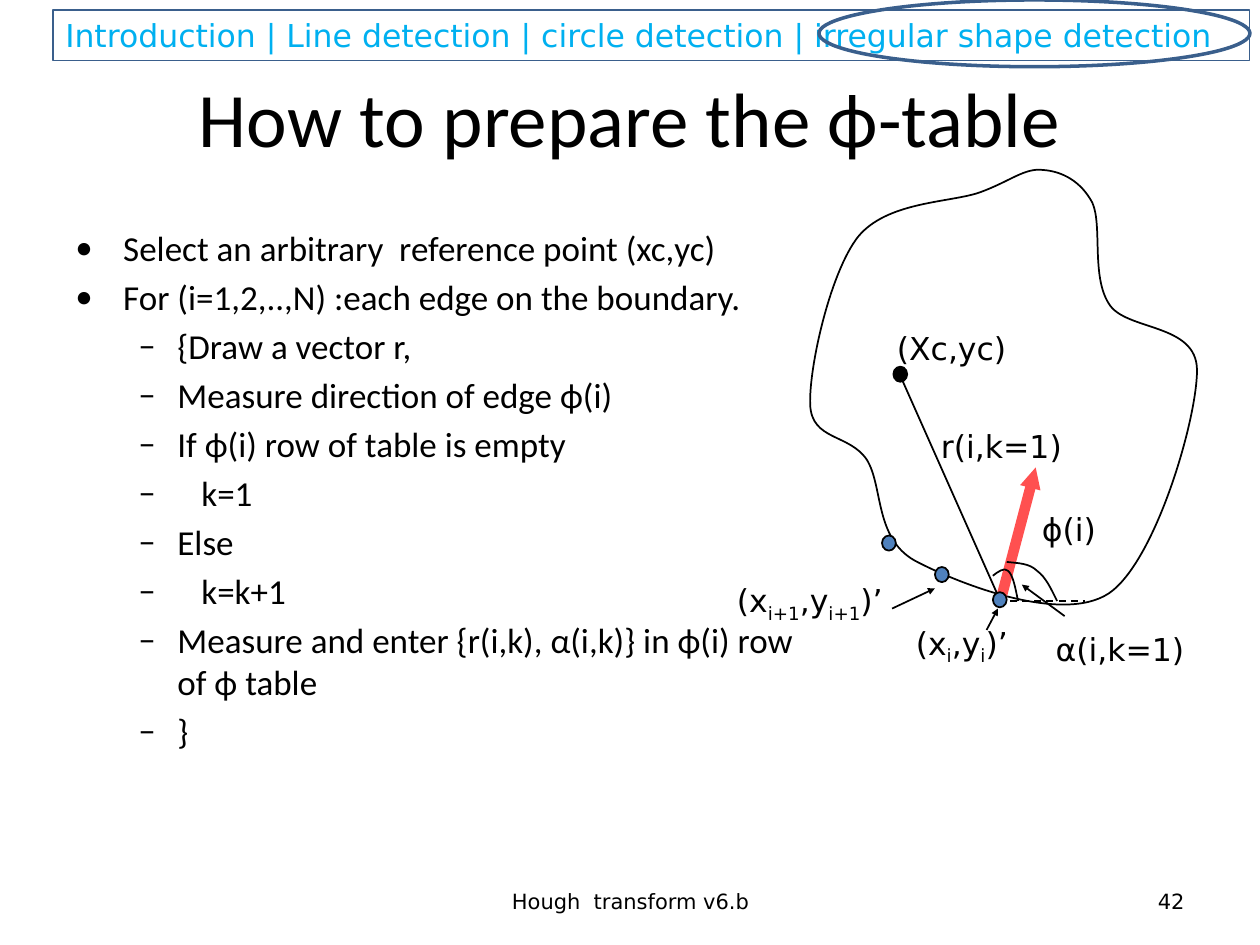
from lxml import etree
from pptx import Presentation
from pptx import util as u
from pptx.dml.color import RGBColor
from pptx.enum import dml, shapes, text
from pptx.oxml.ns import qn

SANS, BODY = "DejaVu Sans", "Calibri"
BLACK, BLUE, NAVY, RED, SKY = "000000", "4F81BD", "3A5F8C", "FF5050", "00B0F0"
LEFT, MID, RIGHT = text.PP_ALIGN.LEFT, text.PP_ALIGN.CENTER, text.PP_ALIGN.RIGHT
OVAL = shapes.MSO_SHAPE.OVAL

# Each outline is a start point followed by three points for every curve.
BLOB = [(7.77, 1.53),
        (7.53, 1.61), (7.04, 1.6), (6.81, 1.88),
        (6.59, 2.16), (6.42, 2.91), (6.43, 3.21),
        (6.44, 3.5), (6.74, 3.44), (6.88, 3.65),
        (7.01, 3.86), (6.94, 4.27), (7.26, 4.45),
        (7.58, 4.62), (8.42, 4.96), (8.8, 4.71),
        (9.17, 4.46), (9.5, 3.33), (9.5, 2.94),
        (9.5, 2.56), (8.93, 2.63), (8.8, 2.41),
        (8.66, 2.19), (8.75, 1.79), (8.67, 1.61),
        (8.58, 1.44), (8.43, 1.36), (8.28, 1.35),
        (8.13, 1.33), (8.02, 1.44), (7.77, 1.53)]
ALPHA = [(7.88, 4.57), (7.92, 4.54), (7.97, 4.5), (8, 4.53),
         (8.04, 4.56), (8.06, 4.67), (8.08, 4.77)]
PHI = [(7.99, 4.46), (8.08, 4.47), (8.17, 4.47), (8.23, 4.53),
       (8.3, 4.58), (8.34, 4.67), (8.39, 4.77)]

# Left margin, hanging indent, bullet
TOP, SUB, DEEP = (0.38, 0.38, "•"), (0.81, 0.31, "–"), (1, 0.5, "–")
STEPS = [("Select an arbitrary  reference point (xc,yc)", TOP),
         ("For (i=1,2,..,N) :each edge on the boundary.", TOP),
         ("{Draw a vector r,", SUB),
         ("Measure direction of edge ϕ(i)", SUB),
         ("If ϕ(i) row of table is empty", SUB),
         ("k=1", DEEP),
         ("Else", SUB),
         ("k=k+1", DEEP),
         ("Measure and enter {r(i,k), α(i,k)} in ϕ(i) row of ϕ table", SUB),
         ("}", SUB)]

LABELS = [((8.17, 4, 0.65, 0.4), ["ϕ(i)"]),
          ((8.28, 4.95, 1.26, 0.4), ["α(i,k=1)"]),
          ((7.02, 2.56, 1.1, 0.4), ["(Xc,yc)"]),
          ((7.37, 3.34, 1.2, 0.4), ["r(i,k=1)"]),
          ((7.17, 4.92, 0.97, 0.4), ["(x", "i", ",y", "i", ")’"]),
          ((5.75, 4.58, 1.46, 0.4), ["(x", "i+1", ",y", "i+1", ")’"])]

POINTERS = [((8.45, 4.89), (8.11, 4.64)),
            ((7.08, 4.83), (7.42, 4.67)),
            ((7.83, 5), (7.92, 4.83))]


def inch(nums):
    return [u.Inches(n) for n in nums]


def rgb(code):
    return RGBColor.from_string(code)


def put(item, **vals):
    for key, val in vals.items():
        setattr(item, key, val)


def ink(line, code, width):
    line.color.rgb = rgb(code)
    line.width = u.Pt(width)


def add(node, tag, **vals):
    """Append an XML child with the given attributes."""
    child = etree.SubElement(node, qn(tag))
    for key, val in vals.items():
        child.set(key, val)


def write(par, parts, size, font, code=BLACK):
    """Add runs to a paragraph; every second part is a subscript."""
    for num, part in enumerate(parts):
        run = par.add_run()
        run.text = part
        put(run.font, size=u.Pt(size), name=font)
        run.font.color.rgb = rgb(code)
        if num % 2:
            run.font._element.set("baseline", "-25000")


def box(slide, at, parts, size=18, font=SANS, align=LEFT, wrap=True,
        anchor=text.MSO_ANCHOR.MIDDLE):
    frame = slide.shapes.add_textbox(*inch(at)).text_frame
    put(frame, word_wrap=wrap, vertical_anchor=anchor)
    par = frame.paragraphs[0]
    par.alignment = align
    write(par, parts, size, font)
    return frame


def shape(slide, kind, at, fill=None, line=BLACK, width=1):
    item = slide.shapes.add_shape(kind, *inch(at))
    item.shadow.inherit = False
    if fill:
        item.fill.solid()
        item.fill.fore_color.rgb = rgb(fill)
    else:
        item.fill.background()
    ink(item.line, line, width)
    return item


def link(slide, start, end, code=BLACK, width=1, dash=None, arrow=False):
    item = slide.shapes.add_connector(
        shapes.MSO_CONNECTOR.STRAIGHT, *inch(start + end))
    ink(item.line, code, width)
    if dash:
        item.line.dash_style = dash
    if arrow:
        add(item.line._get_or_add_ln(), "a:tailEnd",
            type="triangle", w="sm", len="sm")
    add(item._element.spPr, "a:effectLst")


def curve(slide, pts, close=False):
    """Draw an unfilled outline, joining each three points into a curve."""
    start, *rest = [inch(pt) for pt in pts]
    build = slide.shapes.build_freeform(*start)
    build.add_line_segments(rest, close=close)
    item = build.convert_to_shape()
    legs = list(item._element.iter(qn("a:lnTo")))
    for num in range(0, len(rest), 3):
        bend = etree.Element(qn("a:cubicBezTo"))
        legs[num].addprevious(bend)
        for leg in legs[num:num + 3]:
            bend.append(leg[0])
            leg.getparent().remove(leg)
    item.shadow.inherit = False
    item.fill.background()
    ink(item.line, BLACK, 1)


def steps(slide):
    frame = box(slide, (0.5, 1.75, 6.17, 4.95), [], anchor=text.MSO_ANCHOR.TOP)
    for num, (words, (left, hang, mark)) in enumerate(STEPS):
        par = frame.add_paragraph() if num else frame.paragraphs[0]
        par.space_before = u.Pt(4)
        write(par, [words], 20, BODY)
        props = par._p.get_or_add_pPr()
        props.set("marL", str(u.Inches(left)))
        props.set("indent", str(-u.Inches(hang)))
        add(props, "a:buFont", typeface=BODY)
        add(props, "a:buChar", char=mark)


def header(slide):
    bar = shape(slide, shapes.MSO_SHAPE.RECTANGLE, (0.42, 0.08, 9.5, 0.4),
                line=NAVY, width=0.75)
    par = bar.text_frame.paragraphs[0]
    par.alignment = LEFT
    write(par, ["Introduction | Line detection | circle detection | "
                "irregular shape detection"], 18, SANS, SKY)


def figure(slide):
    curve(slide, BLOB, close=True)
    edge = (7.94, 4.77)
    link(slide, (7.14, 2.97), edge)
    link(slide, (7.92, 4.77), (8.61, 4.77), dash=dml.MSO_LINE.DASH)
    link(slide, edge, (8.22, 3.71), RED, 6, arrow=True)
    curve(slide, ALPHA)
    curve(slide, PHI)
    for left, top, fill in [(7.09, 2.91, BLACK), (7.88, 4.7, BLUE),
                            (7.42, 4.5, BLUE), (7, 4.25, BLUE)]:
        shape(slide, OVAL, (left, top, 0.11, 0.12), fill)
    for at, parts in LABELS:
        box(slide, at, parts, wrap=False)
    for start, end in POINTERS:
        link(slide, start, end, arrow=True)


def main():
    deck = Presentation()
    put(deck, slide_width=u.Inches(10), slide_height=u.Inches(7.5))
    slide = deck.slides.add_slide(deck.slide_layouts[6])
    header(slide)
    box(slide, (0.5, 0.3, 9, 1.25), ["How to prepare the ϕ-table"],
        44, BODY, MID)
    steps(slide)
    box(slide, (3.42, 6.95, 3.17, 0.4), ["Hough  transform v6.b"],
        12, align=MID)
    box(slide, (7.17, 6.95, 2.33, 0.4), ["42"], 12, align=RIGHT)
    figure(slide)
    shape(slide, OVAL, (6.5, 0, 3.42, 0.53), line=NAVY, width=2)
    deck.save("out.pptx")


if __name__ == "__main__":
    main()
